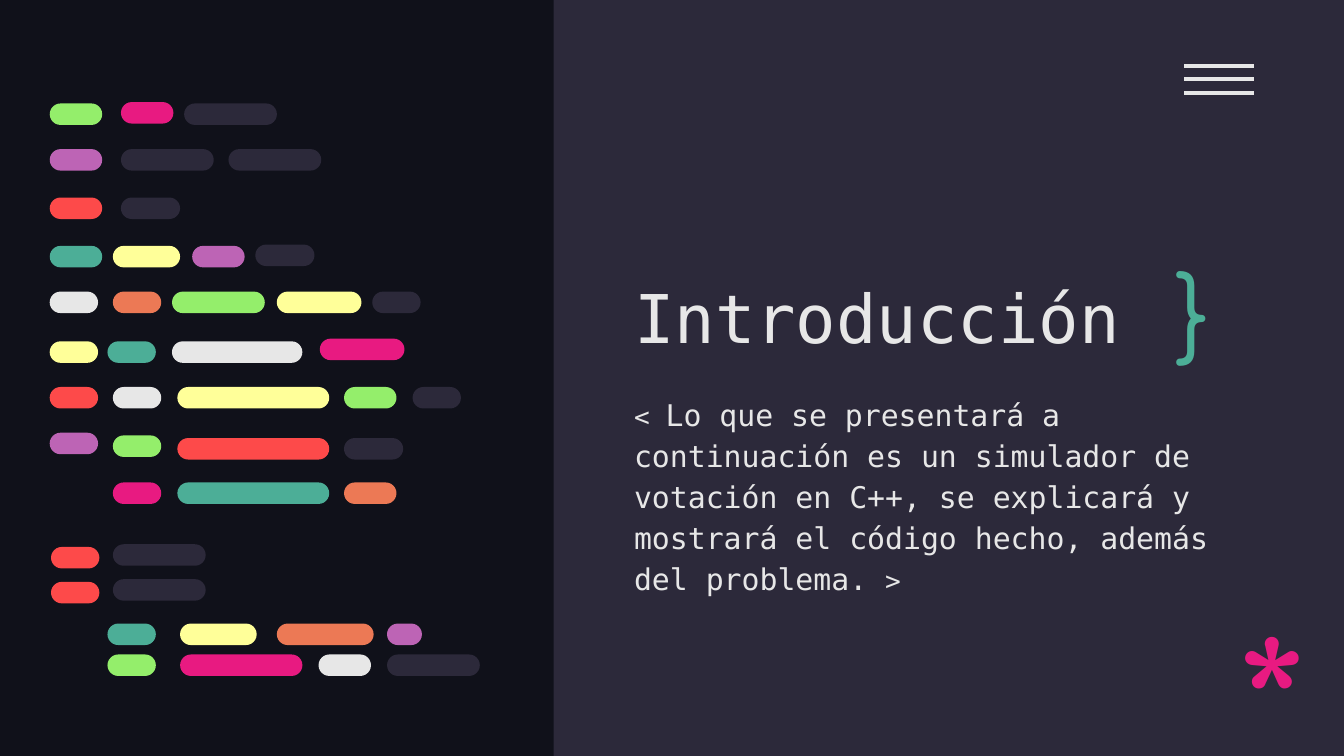
from dataclasses import dataclass

from lxml import etree
from pptx import Presentation
from pptx.dml.color import RGBColor
from pptx.enum.shapes import MSO_CONNECTOR, MSO_SHAPE
from pptx.enum.text import MSO_ANCHOR, PP_ALIGN
from pptx.oxml.ns import qn
from pptx.util import Inches, Length, Pt

RECTANGLE = MSO_SHAPE.RECTANGLE
PILL = MSO_SHAPE.ROUNDED_RECTANGLE
STRAIGHT = MSO_CONNECTOR.STRAIGHT
TOP, BOTTOM = MSO_ANCHOR.TOP, MSO_ANCHOR.BOTTOM
LEFT = PP_ALIGN.LEFT

# The slide is a grid of square cells, a tenth of an inch wide.
COLUMNS, ROWS = 100, 56.25
CELL = Inches(0.1)
PILL_ROWS = 1.6
MONO, ROUND = "DejaVu Sans Mono", "Comfortaa"

COLORS = {
    "night": "10111A",
    "slate": "2C293A",
    "white": "E7E7E7",
    "green": "94EE6B",
    "pink": "E81A81",
    "purple": "BD64B5",
    "red": "FD4A4A",
    "teal": "4CAE97",
    "yellow": "FFFF99",
    "orange": "EC7955",
}


@dataclass(frozen=True)
class Area:
    column: float
    row: float
    columns: float
    rows: float


@dataclass(frozen=True)
class Token:
    column: float
    columns: float
    color: str
    shift: float = 0


@dataclass(frozen=True)
class CodeLine:
    row: float
    tokens: tuple[Token, ...]


@dataclass(frozen=True)
class Label:
    area: Area
    runs: tuple[tuple[str, float], ...]
    font: str
    color: str
    anchor: MSO_ANCHOR = TOP
    line_spacing: float = 1.0
    fill: str | None = None


CODE_LINES = (
    CodeLine(7.7, (Token(3.7, 3.9, "green"), Token(9, 3.9, "pink", -0.1),
                   Token(13.7, 6.9, "slate"))),
    CodeLine(11.1, (Token(3.7, 3.9, "purple"), Token(9, 6.9, "slate"),
                    Token(17, 6.9, "slate"))),
    CodeLine(14.7, (Token(3.7, 3.9, "red"), Token(9, 4.4, "slate"))),
    CodeLine(18.3, (Token(3.7, 3.9, "teal"), Token(8.4, 5, "yellow"),
                    Token(14.3, 3.9, "purple"), Token(19, 4.4, "slate", -0.1))),
    CodeLine(21.7, (Token(3.7, 3.6, "white"), Token(8.4, 3.6, "orange"),
                    Token(12.8, 6.9, "green"), Token(20.6, 6.3, "yellow"),
                    Token(27.7, 3.6, "slate"))),
    CodeLine(25.4, (Token(3.7, 3.6, "yellow"), Token(8, 3.6, "teal"),
                    Token(12.8, 9.7, "white"), Token(23.8, 6.3, "pink", -0.2))),
    CodeLine(28.8, (Token(3.7, 3.6, "red"), Token(8.4, 3.6, "white"),
                    Token(13.2, 11.3, "yellow"), Token(25.6, 3.9, "green"),
                    Token(30.7, 3.6, "slate"))),
    CodeLine(32.4, (Token(3.7, 3.6, "purple", -0.2), Token(8.4, 3.6, "green"),
                    Token(13.2, 11.3, "red", 0.2), Token(25.6, 4.4, "slate", 0.2))),
    CodeLine(35.9, (Token(8.4, 3.6, "pink"), Token(13.2, 11.3, "teal"),
                    Token(25.6, 3.9, "orange"))),
    CodeLine(40.5, (Token(3.8, 3.6, "red", 0.2), Token(8.4, 6.9, "slate"))),
    CodeLine(43.1, (Token(3.8, 3.6, "red", 0.2), Token(8.4, 6.9, "slate"))),
    CodeLine(46.4, (Token(8, 3.6, "teal"), Token(13.4, 5.7, "yellow"),
                    Token(20.6, 7.2, "orange"), Token(28.8, 2.6, "purple"))),
    CodeLine(48.7, (Token(8, 3.6, "green"), Token(13.4, 9.1, "pink"),
                    Token(23.7, 3.9, "white"), Token(28.8, 6.9, "slate"))),
)

LABELS = (
    Label(Area(46.2, 19.6, 46, 8), (("Introducción", 36),), MONO, "white", BOTTOM),
    Label(Area(46.2, 28.1, 46, 18.1), (
        ("< ", 14),
        ("Lo que se presentará a continuación es un simulador de votación en C++, "
         "se explicará y mostrará el código hecho, además del problema. ", 16),
        (">", 14),
    ), MONO, "white", line_spacing=1.15, fill="slate"),
    Label(Area(91.1, 43.5, 5.7, 8.7), (("*", 96),), ROUND, "pink"),
    Label(Area(86.5, 17.7, 5.7, 9.5), (("}", 50),), ROUND, "teal"),
)


def cells(count: float) -> Length:
    return Length(round(count * CELL))


def rgb(name: str) -> RGBColor:
    return RGBColor.from_string(COLORS[name])


def frame(area: Area) -> tuple[Length, ...]:
    return tuple(map(cells, (area.column, area.row, area.columns, area.rows)))


def add_block(shapes, kind: MSO_SHAPE, area: Area, color: str):
    """Add a flat filled shape without outline or shadow."""
    shape = shapes.add_shape(kind, *frame(area))
    shape.shadow.inherit = False
    shape.fill.solid()
    shape.fill.fore_color.rgb = rgb(color)
    shape.line.fill.background()
    return shape


def add_menu_icon(slide) -> None:
    group = slide.shapes.add_group_shape()
    for index in range(3):
        row = cells(4.9 + index)
        bar = group.shapes.add_connector(STRAIGHT, cells(88.1), row, cells(93.3), row)
        bar.line.color.rgb = rgb("white")
        bar.line.width = Pt(2.25)
        etree.SubElement(bar._element.spPr, qn("a:effectLst"))


def add_code(slide) -> None:
    group = slide.shapes.add_group_shape()
    for line in CODE_LINES:
        for token in line.tokens:
            area = Area(token.column, line.row + token.shift, token.columns, PILL_ROWS)
            pill = add_block(group.shapes, PILL, area, token.color)
            pill.adjustments[0] = 0.5


def add_label(slide, label: Label) -> None:
    box = slide.shapes.add_textbox(*frame(label.area))
    if label.fill:
        box.fill.solid()
        box.fill.fore_color.rgb = rgb(label.fill)
    text_frame = box.text_frame
    text_frame.word_wrap = True
    text_frame.vertical_anchor = label.anchor
    text_frame.margin_top = text_frame.margin_bottom = CELL
    text_frame.margin_left = text_frame.margin_right = CELL
    paragraph = text_frame.paragraphs[0]
    paragraph.alignment = LEFT
    paragraph.line_spacing = label.line_spacing
    paragraph.font.name = label.font
    paragraph.font.color.rgb = rgb(label.color)
    for text, size in label.runs:
        run = paragraph.add_run()
        run.text = text
        run.font.size = Pt(size)


def main() -> None:
    presentation = Presentation()
    presentation.slide_width = cells(COLUMNS)
    presentation.slide_height = cells(ROWS)
    slide = presentation.slides.add_slide(presentation.slide_layouts[6])
    slide.background.fill.solid()
    slide.background.fill.fore_color.rgb = rgb("night")

    add_block(slide.shapes, RECTANGLE, Area(41.2, 0, COLUMNS - 41.2, ROWS), "slate")
    add_menu_icon(slide)
    add_code(slide)
    for label in LABELS:
        add_label(slide, label)

    presentation.save("out.pptx")


if __name__ == "__main__":
    main()
